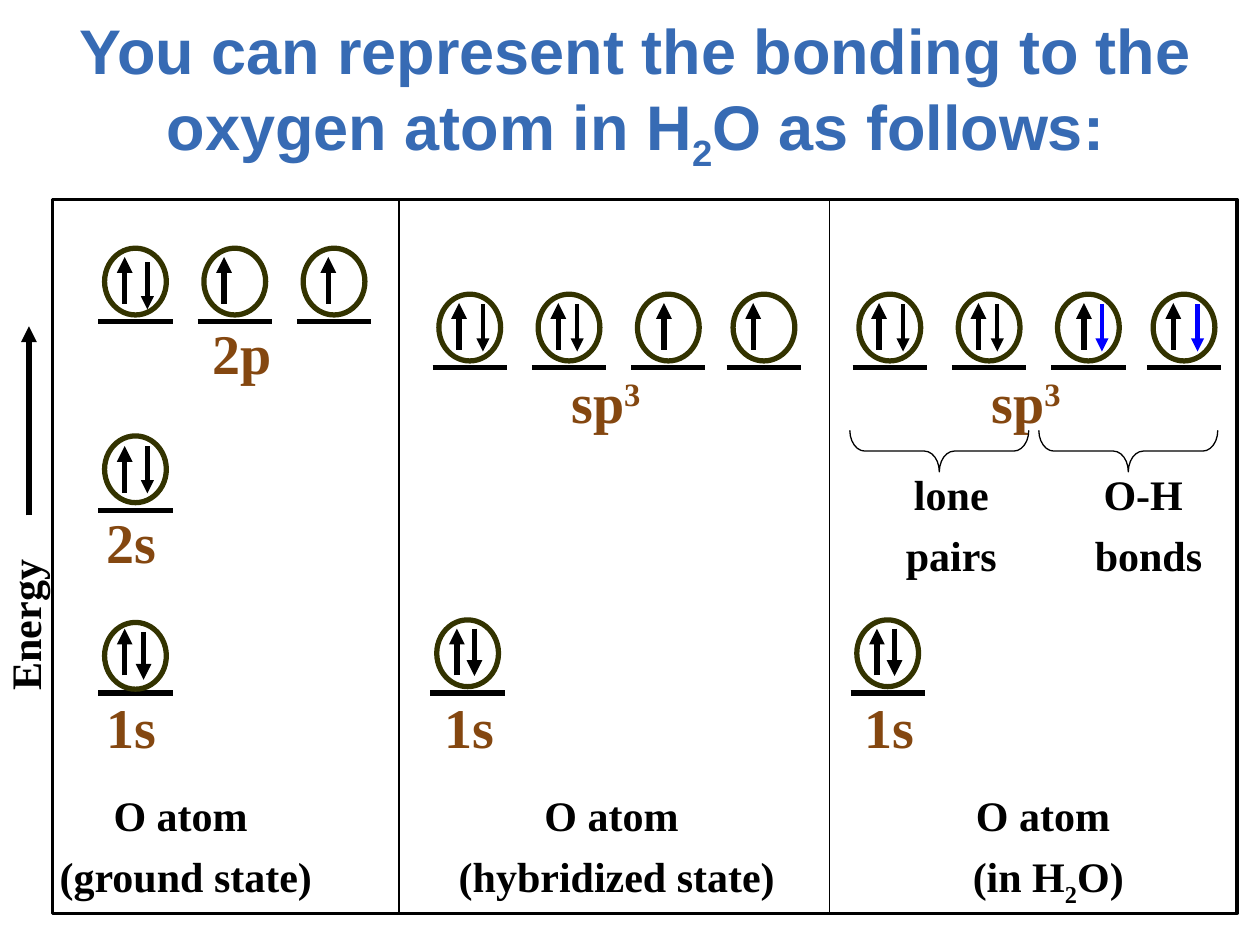
from dataclasses import dataclass

import pptx
import pptx.dml.color
import pptx.enum.shapes
import pptx.enum.text
import pptx.oxml
import pptx.oxml.ns
import pptx.util

SHAPE = pptx.enum.shapes.MSO_SHAPE
ALIGN = pptx.enum.text.PP_ALIGN
FIT = pptx.enum.text.MSO_AUTO_SIZE
ANCHOR = pptx.enum.text.MSO_ANCHOR
COLS, ROWS = 100, 75


@dataclass(frozen=True)
class Theme:
    black: str = "000000"
    blue: str = "0000FF"
    head: str = "376BB4"
    brown: str = "844710"
    olive: str = "333300"
    sans: str = "Arial"
    serif: str = "Times New Roman"
    title: int = 36
    level: int = 32
    body: int = 24
    thick: float = 3
    spin: float = 2.5
    frame: float = 2
    thin: float = 0.75
    gap: int = 6


class Board:
    """Draws the parts of an energy diagram on a grid of columns and rows."""

    def __init__(self, deck, theme):
        self.theme = theme
        self.slide = deck.slides.add_slide(deck.slide_layouts[6])
        self.col = deck.slide_width / COLS
        self.row = deck.slide_height / ROWS

    def place(self, x, y, w, h):
        return [int(v) for v in (x * self.col, y * self.row, w * self.col, h * self.row)]

    def ink(self, line, color, width):
        line.color.rgb = pptx.dml.color.RGBColor.from_string(color)
        line.width = pptx.util.Pt(width)

    def text(self, lines, x, y, w, h, size, color, font=None, base=0, turn=0, wrap=False):
        box = self.slide.shapes.add_textbox(*self.place(x, y, w, h))
        box.rotation = turn
        side = pptx.util.Inches(0.1 if wrap else 0)
        style = {
            "word_wrap": wrap,
            "auto_size": FIT.NONE,
            "vertical_anchor": ANCHOR.MIDDLE if wrap else ANCHOR.TOP,
            "margin_left": side,
            "margin_right": side,
        }
        for name, value in style.items():
            setattr(box.text_frame, name, value)
        face = {"name": font or self.theme.serif, "size": pptx.util.Pt(size), "bold": True}
        for i, line in enumerate(lines):
            para = box.text_frame.add_paragraph() if i else box.text_frame.paragraphs[0]
            para.alignment = ALIGN.CENTER
            if i:
                para.space_before = pptx.util.Pt(self.theme.gap)
            for j, part in enumerate(line.split("|")):
                if not part:
                    continue
                run = para.add_run()
                run.text = part
                for name, value in face.items():
                    setattr(run.font, name, value)
                run.font.color.rgb = pptx.dml.color.RGBColor.from_string(color)
                if j % 2:
                    run.font._element.set("baseline", str(base * 1000))

    def note(self, lines, x, y, w, h=9.9, **more):
        self.text(lines, x, y, w, h, self.theme.body, self.theme.black, **more)

    def name(self, word, x, y, w=5.9):
        self.text([word], x, y, w, 6.4, self.theme.level, self.theme.brown, base=30)

    def line(self, x1, y1, x2, y2, width, color=None, arrow=False):
        ends = self.place(x1, y1, x2, y2)
        link = self.slide.shapes.add_connector(pptx.enum.shapes.MSO_CONNECTOR.STRAIGHT, *ends)
        self.ink(link.line, color or self.theme.black, width)
        props = link._element.spPr
        if arrow:
            tip = pptx.oxml.parse_xml(
                f'<a:tailEnd {pptx.oxml.ns.nsdecls("a")} type="triangle"/>')
            props.find(pptx.oxml.ns.qn("a:ln")).append(tip)
        props.append(pptx.oxml.parse_xml(f'<a:effectLst {pptx.oxml.ns.nsdecls("a")}/>'))

    def shape(self, kind, x, y, w, h, color, width):
        form = self.slide.shapes.add_shape(kind, *self.place(x, y, w, h))
        form.shadow.inherit = False
        form.fill.background()
        self.ink(form.line, color, width)
        return form

    def brace(self, x, y):
        form = self.shape(SHAPE.LEFT_BRACE, x, y, 3.3, 14.2, self.theme.black, self.theme.thin)
        form.rotation = 270
        form.adjustments[0] = 0.36

    def cell(self, x, y, up=2.1, down=None, color=None, width=None, lift=5.8, drop=5):
        pen = self.theme
        self.line(x, y, x + 5.9, y, pen.thick)
        self.shape(SHAPE.OVAL, x + 0.5, y - lift, 4.9, 5.3, pen.olive, pen.thick)
        self.line(x + up, y - 1.4, x + up, y - 5.1, pen.thick, arrow=True)
        if down:
            self.line(x + down, y - drop, x + down, y - drop + 3.75,
                      width or pen.spin, color, arrow=True)


def main():
    deck = pptx.Presentation()
    deck.slide_width, deck.slide_height = pptx.util.Inches(10), pptx.util.Inches(7.5)
    theme = Theme()
    board = Board(deck, theme)

    board.text(["You can represent the bonding to the oxygen atom in H|2|O as follows:"],
               4.2, 1.1, 92.5, 12.5, theme.title, theme.head, theme.sans, base=-25, wrap=True)

    board.note(["Energy"], -4.2, 47.1, 12.3, 5, turn=270)
    board.line(2.3, 40.9, 2.3, 25.9, theme.thick, arrow=True)

    for i, (up, down) in enumerate([(2.1, 3.9), (2.1, None), (2.5, None)]):
        board.cell(7.8 + 7.88 * i, 25.5, up, down, drop=4.7)
    board.name("2p", 15.9, 24.8, 6.7)
    board.cell(7.8, 40.5, down=3.9, lift=5.9, drop=5.1)
    board.name("2s", 7.5, 39.8)
    board.cell(7.8, 55, down=3.6, width=theme.thick, lift=5.6, drop=4.8)
    board.name("1s", 7.5, 54.5)

    for left, bond in ((34.33, None), (67.67, 4.03)):
        spins = [(0, 2.1, 4), (7.88, 2.1, 3.6), (15.76, 2.6, bond), (23.35, 2.1, bond)]
        for i, (step, up, down) in enumerate(spins):
            board.cell(left + step, 29.15, up, down, theme.blue if i > 1 else None)
        board.name("sp|3|", left + 10, 28.7, 7.5)
        board.cell(left - 0.17, 55, down=3.5, width=theme.thick, drop=5.1)
        board.name("1s", left - 0.05, 54.5)

    for x, y, w, words in ((87.9, 28.7, 10.5, ["O-H ", "bonds"]),
                           (72.9, 28.7, 9.2, ["lone", "pairs"])):
        board.brace(x, y)
        board.note(words, x - 2, y + 8, w)

    for x, w, state in ((3.7, 22.1, "(ground state)"), (35.4, 27.1, "(hybridized state)"),
                        (76.2, 14, "(in H|2|O)")):
        board.note(["O atom ", state], x, 62.2, w, base=-25)

    board.shape(SHAPE.RECTANGLE, 4.17, 15.83, 94, 56.67, theme.black, theme.frame)
    for x in (31.67, 65.83):
        board.line(x, 15.83, x, 72.5, theme.thin)
    deck.save("out.pptx")


if __name__ == "__main__":
    main()
